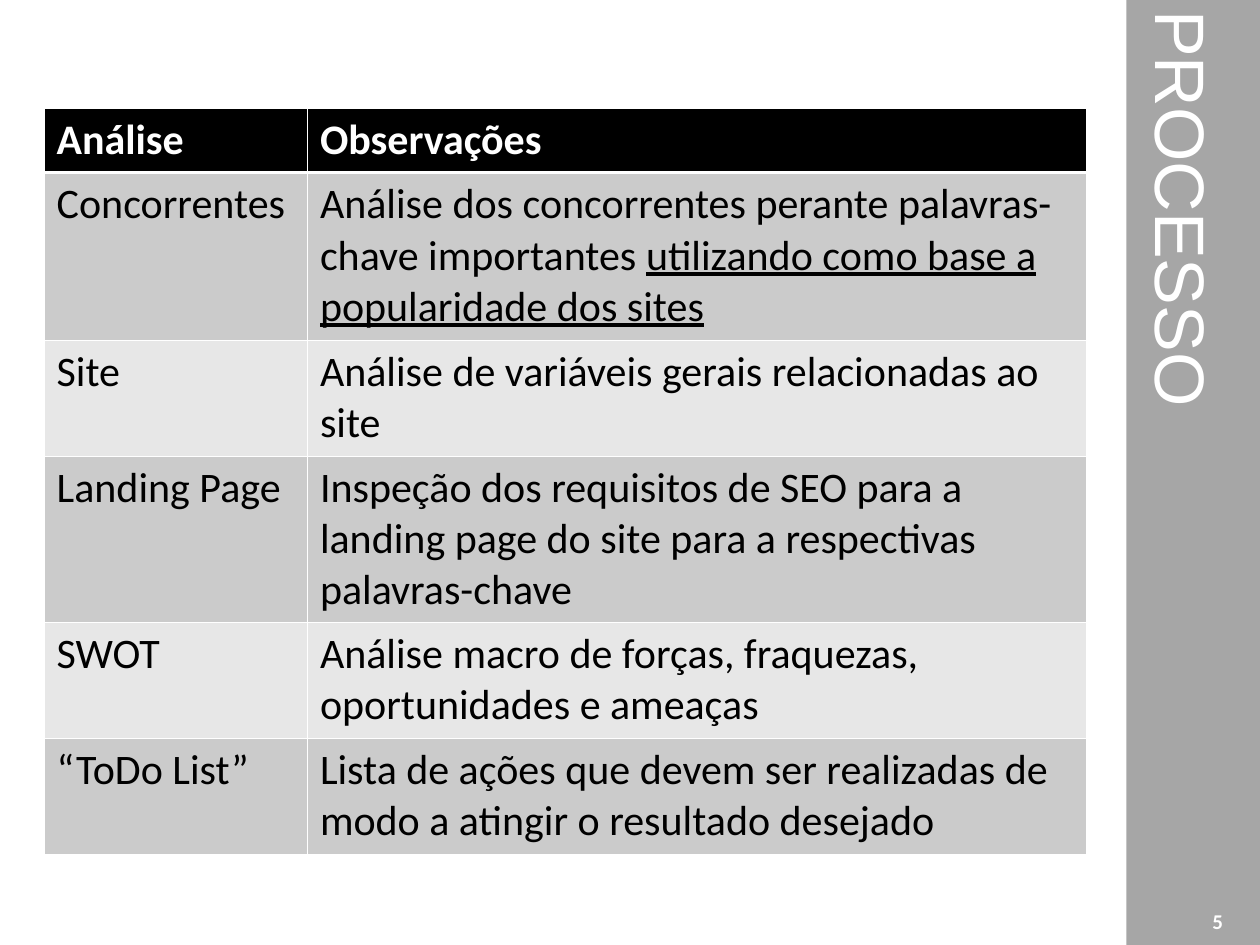
from dataclasses import dataclass

from lxml.etree import SubElement
from pptx import Presentation
from pptx.dml.color import RGBColor
from pptx.enum.text import MSO_ANCHOR, MSO_AUTO_SIZE, PP_ALIGN
from pptx.oxml.ns import qn
from pptx.util import Inches, Pt

COLORS = {
    "white": "FFFFFF",
    "black": "000000",
    "sidebar": "A6A6A6",
    "odd_row": "CBCBCB",
    "even_row": "E7E7E7",
}
THIN, THICK = 0.45, 1.47
COLUMN_WIDTHS = (2.09, 6.18)


@dataclass(frozen=True)
class AnalysisRow:
    analysis: str
    notes: str
    height: float
    underlined: str = ""


HEADER = AnalysisRow("Análise", "Observações", 0.51)
ANALYSES = [
    AnalysisRow("Concorrentes",
                "Análise dos concorrentes perante palavras-chave importantes ",
                1.33, "utilizando como base a popularidade dos sites"),
    AnalysisRow("Site", "Análise de variáveis gerais relacionadas ao site", 0.92),
    AnalysisRow("Landing Page",
                "Inspeção dos requisitos de SEO para a landing page do site "
                "para a respectivas palavras-chave", 1.31),
    AnalysisRow("SWOT",
                "Análise macro de forças, fraquezas, oportunidades e ameaças", 0.92),
    AnalysisRow("“ToDo List”",
                "Lista de ações que devem ser realizadas de modo a atingir "
                "o resultado desejado", 0.92),
]


def add_text(paragraph, text: str, *, size: float = 24, font: str = "Calibri",
             color: str = "black", bold: bool = False, underline: bool = False,
             align: PP_ALIGN = PP_ALIGN.LEFT) -> None:
    paragraph.alignment = align
    run = paragraph.add_run()
    run.text = text
    run.font.size = Pt(size)
    run.font.name = font
    run.font.bold = bold
    run.font.underline = underline
    run.font.color.rgb = RGBColor.from_string(COLORS[color])


def set_borders(cell, top: float, bottom: float) -> None:
    """Draw white borders; must run before the cell gets its fill."""
    properties = cell._tc.get_or_add_tcPr()
    for side, width in (("L", THIN), ("R", THIN), ("T", top), ("B", bottom)):
        line = SubElement(properties, qn(f"a:ln{side}"), w=str(Pt(width)))
        fill = SubElement(line, qn("a:solidFill"))
        SubElement(fill, qn("a:srgbClr"), val=COLORS["white"])


def add_sidebar_title(slide, text: str) -> None:
    title = slide.shapes.title
    title.left, title.top = Inches(8.94), Inches(0)
    title.width, title.height = Inches(1.06), Inches(7.53)
    title.fill.solid()
    title.fill.fore_color.rgb = RGBColor.from_string(COLORS["sidebar"])
    frame = title.text_frame
    frame.auto_size = MSO_AUTO_SIZE.NONE
    frame.word_wrap = True
    frame.vertical_anchor = MSO_ANCHOR.MIDDLE
    frame.margin_left, frame.margin_right = Inches(0.05), Inches(0.2)
    frame.margin_top, frame.margin_bottom = Inches(0.08), Inches(0.1)
    title.element.txBody.bodyPr.set("vert", "eaVert")
    add_text(frame.paragraphs[0], text, size=40, font="Arial", color="white",
             align=PP_ALIGN.CENTER)


def add_analysis_table(slide, rows: list[AnalysisRow]) -> None:
    table = slide.shapes.add_table(
        len(rows), len(COLUMN_WIDTHS), Inches(0.35), Inches(0.86),
        Inches(sum(COLUMN_WIDTHS)), Inches(sum(row.height for row in rows))).table
    for column, width in zip(table.columns, COLUMN_WIDTHS):
        column.width = Inches(width)
    for index, row in enumerate(rows):
        table.rows[index].height = Inches(row.height)
        is_header = index == 0
        background = "black" if is_header else "odd_row" if index % 2 else "even_row"
        for cell, text in zip(table.rows[index].cells, (row.analysis, row.notes)):
            set_borders(cell, top=THICK if index == 1 else THIN,
                        bottom=THICK if is_header else THIN)
            cell.fill.solid()
            cell.fill.fore_color.rgb = RGBColor.from_string(COLORS[background])
            add_text(cell.text_frame.paragraphs[0], text, bold=is_header,
                     color="white" if is_header else "black")
        if row.underlined:
            add_text(table.cell(index, 1).text_frame.paragraphs[0],
                     row.underlined, underline=True)


def add_page_number(slide, number: int) -> None:
    box = slide.shapes.add_textbox(Inches(9.37), Inches(7.19), Inches(0.59), Inches(0.24))
    frame = box.text_frame
    frame.word_wrap = True
    frame.vertical_anchor = MSO_ANCHOR.MIDDLE
    add_text(frame.paragraphs[0], str(number), size=12, color="white", bold=True,
             align=PP_ALIGN.CENTER)


def main() -> None:
    presentation = Presentation()
    presentation.slide_width, presentation.slide_height = Inches(10), Inches(7.5)
    title_only = presentation.slide_layouts[5]
    slide = presentation.slides.add_slide(title_only)
    add_sidebar_title(slide, "PROCESSO")
    add_analysis_table(slide, [HEADER, *ANALYSES])
    add_page_number(slide, 5)
    presentation.save("out.pptx")


if __name__ == "__main__":
    main()
